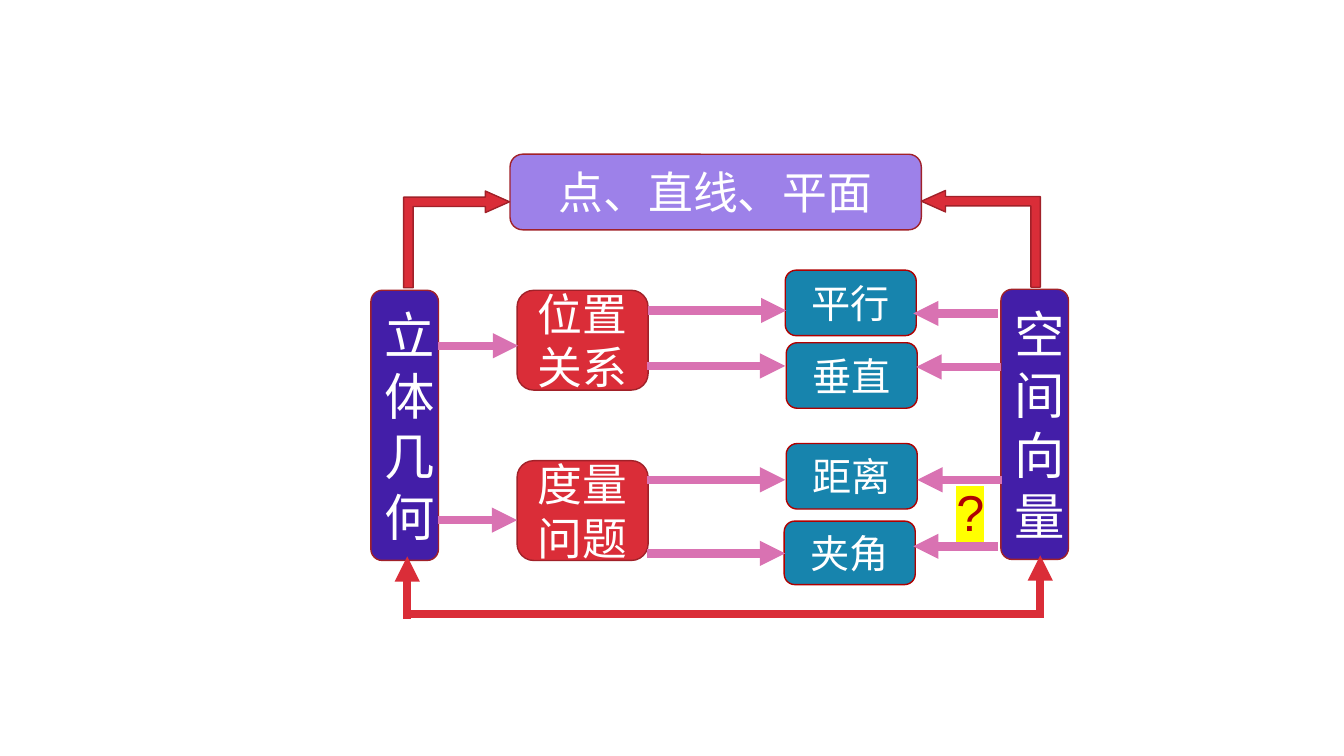
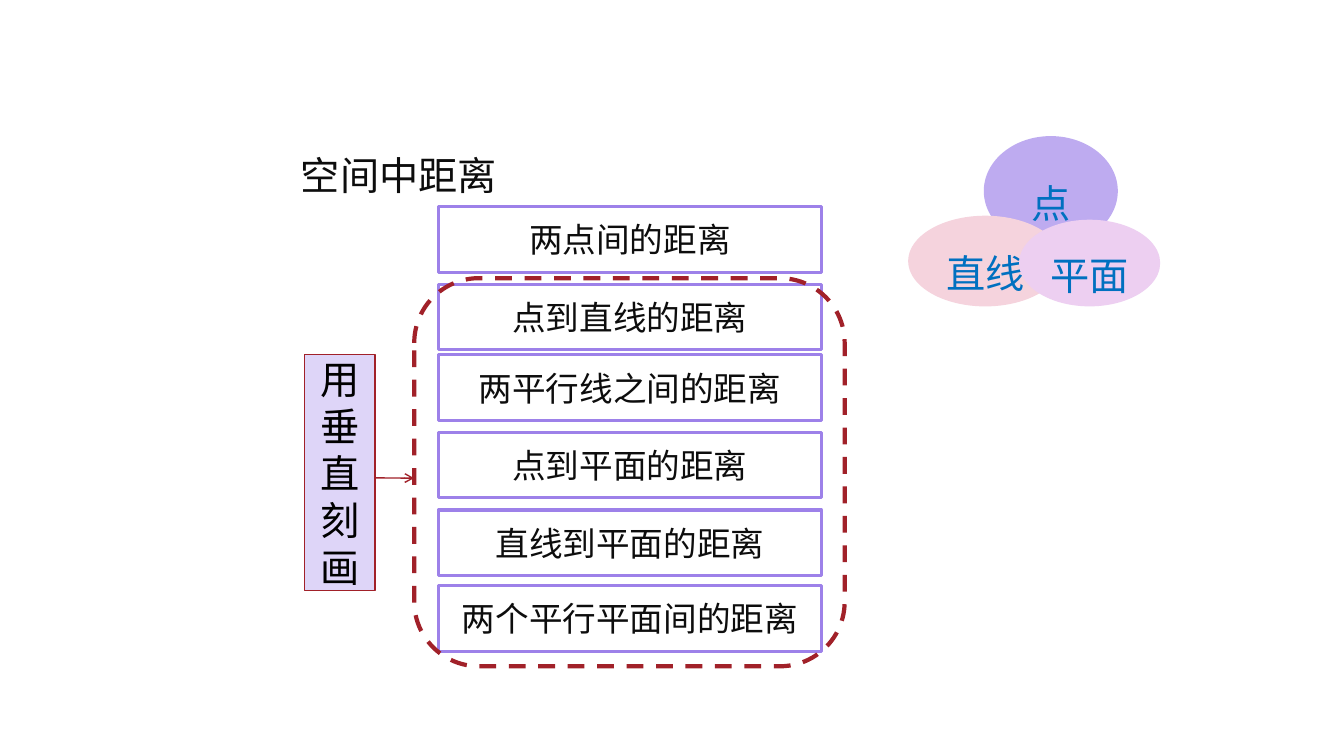
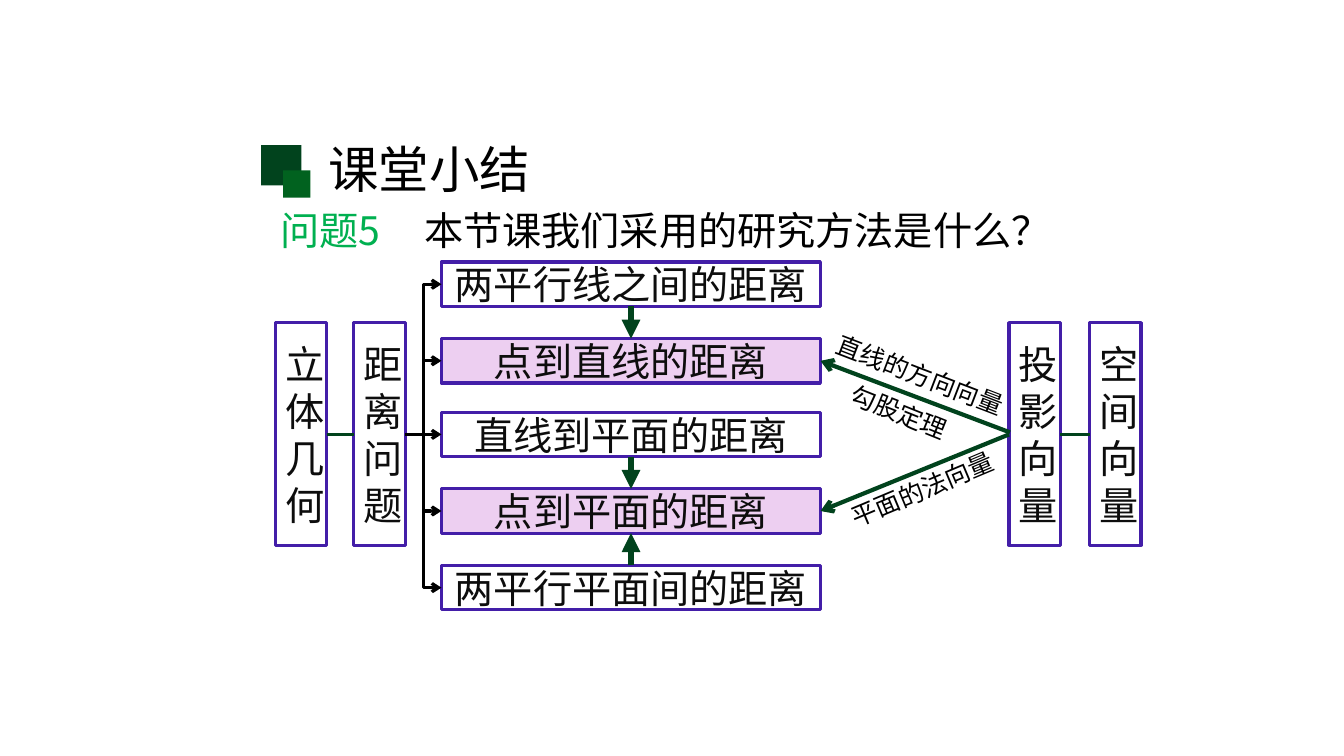
from pptx import Presentation, util as u
from pptx.dml.color import RGBColor
from pptx.enum import dml, shapes, text
from pptx.oxml import ns, xmlchemy

# Grid: square cells of a tenth of an inch, 133.33 columns by 75 rows
CELL = u.Inches(0.1)
COLUMNS, ROWS = 133.33, 75

# Shared fonts and colours
CJK_FONT = "Noto Sans CJK SC"
WHITE = RGBColor(0xFF, 0xFF, 0xFF)
BLACK = RGBColor(0x00, 0x00, 0x00)
INK = RGBColor(0x0D, 0x0D, 0x0D)
INDIGO = RGBColor(0x43, 0x1E, 0xA8)
VIOLET = RGBColor(0x9D, 0x81, 0xE9)
LILAC = RGBColor(0xBE, 0xAB, 0xF0)
PALE_VIOLET = RGBColor(0xDE, 0xD5, 0xF8)
ORCHID = RGBColor(0xED, 0xCF, 0xF1)
ROSE = RGBColor(0xF5, 0xD3, 0xDD)
PINK = RGBColor(0xD9, 0x72, 0xB2)
RED = RGBColor(0xDA, 0x2D, 0x38)
DARK_RED = RGBColor(0xA1, 0x21, 0x29)
EDGE_RED = RGBColor(0xAF, 0x00, 0x00)
MARK_RED = RGBColor(0xAE, 0x02, 0x03)
TEAL = RGBColor(0x17, 0x84, 0xAD)
BLUE = RGBColor(0x00, 0x70, 0xC0)
GREEN = RGBColor(0x00, 0xB0, 0x50)
FOREST = RGBColor(0x01, 0x43, 0x1D)
LEAF = RGBColor(0x01, 0x62, 0x1F)
YELLOW = RGBColor(0xFF, 0xFF, 0x00)

RECTANGLE = shapes.MSO_SHAPE.RECTANGLE
ROUNDED = shapes.MSO_SHAPE.ROUNDED_RECTANGLE
ELLIPSE = shapes.MSO_SHAPE.OVAL
ELBOW = shapes.MSO_CONNECTOR.ELBOW


def cells(*counts):
    """Turn grid counts into slide lengths."""
    return [round(count * CELL) for count in counts]


def element(tag, **attributes):
    node = xmlchemy.OxmlElement(tag)
    for name, value in attributes.items():
        node.set(name, value)
    return node


def write(paragraph, words, size=28, color=INK, font=CJK_FONT, highlight=None):
    """Add one formatted run to a paragraph."""
    run = paragraph.add_run()
    run.text = words
    run.font.size = u.Pt(size)
    run.font.color.rgb = color
    run.font.name = font
    properties = run.font._element
    properties.find(ns.qn("a:latin")).addnext(element("a:ea", typeface=font))
    if highlight is not None:
        mark = element("a:highlight")
        mark.append(element("a:srgbClr", val=str(highlight)))
        properties.find(ns.qn("a:solidFill")).addnext(mark)


def add_arrowhead(shape, kind):
    outline = shape.element.spPr.find(ns.qn("a:ln"))
    outline.append(element("a:tailEnd", type=kind))


def add_box(slide, place, words="", kind=ROUNDED, fill=None, line=None,
            weight=1, align=text.PP_ALIGN.CENTER, spacing=None, **style):
    """Preset shape at (left, top, width, height) with centred text."""
    shape = slide.shapes.add_shape(kind, *cells(*place))
    shape.shadow.inherit = False
    if fill is None:
        shape.fill.background()
    else:
        shape.fill.solid()
        shape.fill.fore_color.rgb = fill
    if line is None:
        shape.line.fill.background()
    else:
        shape.line.color.rgb = line
        shape.line.width = u.Pt(weight)
    if words:
        frame = shape.text_frame
        frame.word_wrap = True
        frame.vertical_anchor = text.MSO_ANCHOR.MIDDLE
        paragraph = frame.paragraphs[0]
        paragraph.alignment = align
        paragraph.line_spacing = spacing
        write(paragraph, words, **style)
    return shape


def add_label(slide, place, words="", rotation=0, **style):
    """Plain text box; returns its paragraph."""
    label = slide.shapes.add_textbox(*cells(*place))
    label.rotation = rotation
    label.text_frame.word_wrap = True
    paragraph = label.text_frame.paragraphs[0]
    if words:
        write(paragraph, words, **style)
    return paragraph


def add_line(slide, start, end, color, weight, head=None,
             kind=shapes.MSO_CONNECTOR.STRAIGHT):
    """Connector from start to end, with an optional head at the end."""
    line = slide.shapes.add_connector(kind, *cells(*start, *end))
    line.line.color.rgb = color
    line.line.width = u.Pt(weight)
    if head:
        add_arrowhead(line, head)
    line.element.spPr.append(element("a:effectLst"))


def add_bent_arrow(slide, place, **flips):
    arrow = add_box(slide, place, kind=shapes.MSO_SHAPE.BENT_UP_ARROW,
                    fill=RED, line=DARK_RED)
    for index, share in enumerate((0.097, 0.111, 0.25)):
        arrow.adjustments[index] = share
    arrow.rotation = 90
    for name, value in flips.items():
        arrow.element.spPr.xfrm.set(name, value)


def build_knowledge_map(slide):
    # Side pillars, top banner and the two problem types
    for left, top, words in ((36.8, 28.8, "立体几何"), (99.3, 28.7, "空间向量")):
        add_box(slide, (left, top, 6.7, 26.8), words, fill=INDIGO,
                line=DARK_RED, size=36, color=WHITE)
    add_box(slide, (50.6, 15.3, 40.8, 7.5), "点、直线、平面", fill=VIOLET,
            line=DARK_RED, size=32, color=WHITE)
    for top, words in ((28.8, "位置关系"), (45.7, "度量问题")):
        add_box(slide, (51.3, top, 13, 9.9), words, fill=RED,
                line=DARK_RED, size=32, color=WHITE)

    # Topics
    for left, top, height, words in ((77.9, 26.8, 6.5, "平行"),
                                     (78, 34, 6.5, "垂直"),
                                     (78, 44, 6.5, "距离"),
                                     (77.8, 51.7, 6.3, "夹角")):
        add_box(slide, (left, top, 13, height), words, fill=TEAL,
                line=EDGE_RED, color=WHITE)

    # Bracket below the pillars
    for x, tip in ((40.4, 55.2), (103.2, 55.1)):
        add_line(slide, (x, tip + 6.2), (x, tip), RED, 6, "triangle")
    add_line(slide, (40.6, 60.9), (103.2, 60.9), RED, 6)

    # Horizontal arrows: start column, tip column, row
    for start, tip, row in ((43.5, 51.4, 34.3), (43.5, 51.3, 51.6),
                            (64.3, 78, 30.8), (64.2, 77.9, 36.3),
                            (64.2, 77.9, 47.6), (64.2, 77.9, 54.9),
                            (99, 90.6, 31.1), (99.3, 90.9, 36.4),
                            (99.4, 91, 47.6), (99, 90.6, 54.2)):
        add_line(slide, (start, row), (tip, row), PINK, 6, "triangle")

    # Open question and the arrows to the banner
    add_label(slide, (93.9, 47.2, 4.9, 7.1), "?", size=36, color=MARK_RED,
              font="Arial", highlight=YELLOW)
    add_bent_arrow(slide, (40.5, 18.5, 9.6, 10.5), flipH="1")
    add_bent_arrow(slide, (92.5, 17.8, 9.6, 11.8), flipH="1", flipV="1")


def build_distance_list(slide):
    add_box(slide, (28.5, 13.5, 71.2, 7.6), "空间中距离",
            align=text.PP_ALIGN.LEFT)

    # Kinds of distance
    for top, words in ((20.5, "两点间的距离"), (28.2, "点到直线的距离"),
                       (35.2, "两平行线之间的距离"), (42.9, "点到平面的距离"),
                       (50.6, "直线到平面的距离"),
                       (58.1, "两个平行平面间的距离")):
        add_box(slide, (43.5, top, 38, 6.5), words, RECTANGLE, WHITE,
                VIOLET, 2.25, size=24)

    # Dashed frame and its callout
    frame = add_box(slide, (41.1, 27.6, 42.7, 38.5), line=DARK_RED, weight=3)
    frame.line.dash_style = dml.MSO_LINE.DASH
    callout = add_box(slide, (30.2, 35.2, 7, 23.4), "用垂直刻画",
                      shapes.MSO_SHAPE.LINE_CALLOUT_1, PALE_VIOLET, DARK_RED,
                      color=BLACK)
    for index, share in enumerate((0.522, 1.018, 0.523, 1.554)):
        callout.adjustments[index] = share
    add_arrowhead(callout, "arrow")

    # Overlapping elements of space
    for place, words, fill in (((97.6, 13.5, 13.3, 10.9), "点", LILAC),
                               ((90.1, 21.4, 15.3, 9), "直线", ROSE),
                               ((101.1, 21.8, 14, 8.6), "平面", ORCHID)):
        add_box(slide, place, words, ELLIPSE, fill, spacing=1.5, color=BLUE)


def build_summary(slide):
    # Heading and question
    add_box(slide, (25.9, 14.4, 4, 4), kind=RECTANGLE, fill=FOREST)
    add_box(slide, (28.1, 16.9, 2.7, 2.7), kind=RECTANGLE, fill=LEAF)
    add_label(slide, (31.6, 13.2, 35.3, 7.1), "课堂小结", size=36, color=BLACK)
    question = add_label(slide, (26.8, 17.6, 82.2, 7))
    question.line_spacing = 1.5
    tabs = element("a:tabLst")
    tabs.append(element("a:tab", pos=str(cells(14.3)[0]), algn="l"))
    question._p.get_or_add_pPr().append(tabs)
    write(question, "问题5\t", color=GREEN)
    write(question, "本节课我们采用的研究方法是什么？", color=BLACK)

    # Upright boxes, joined in pairs
    middle = 43.1
    for left, words in ((27.3, "立体几何"), (35.1, "距离问题"),
                        (100.1, "投影向量"), (108.1, "空间向量")):
        add_box(slide, (left, 32, 5.1, 22.1), words, RECTANGLE, WHITE,
                INDIGO, 2.25)
    for start, end in ((32.4, 35.1), (105.2, 108.1)):
        add_line(slide, (start, middle), (end, middle), FOREST, 2.25)

    # Distance problems, each reached by an elbow
    left, width, height = 43.8, 37.6, 4.4
    tops = (26, 33.6, 40.9, 48.5, 56.1)
    names = ("两平行线之间的距离", "点到直线的距离", "直线到平面的距离",
             "点到平面的距离", "两平行平面间的距离")
    for top, words in zip(tops, names):
        fill = ORCHID if words.startswith("点") else WHITE
        add_box(slide, (left, top, width, height), words, RECTANGLE, fill,
                INDIGO, 2.25)
        add_line(slide, (40.2, middle), (left, top + height / 2), BLACK, 2.25,
                 "arrow", ELBOW)

    # Reductions between neighbouring problems
    center = left + width / 2
    for start, end in ((tops[0] + height, tops[1]),
                       (tops[2] + height, tops[3]),
                       (tops[4], tops[3] + height)):
        add_line(slide, (center, start), (center, end), FOREST, 4.5, "triangle")

    # Vector methods
    add_line(slide, (100.2, 42.9), (81.4, 35.8), FOREST, 3, "arrow")
    add_line(slide, (100.1, 43.1), (81.4, 50.7), FOREST, 3, "arrow")
    for place, rotation, words in (
            ((81.5, 35.4, 20.6, 4), 21.1, "直线的方向向量"),
            ((83.2, 39, 12.7, 4), 22, "勾股定理"),
            ((82.9, 45.9, 20.2, 4), 337.2, "平面的法向量")):
        add_label(slide, place, words, rotation, size=18, color=BLACK)


def main():
    presentation = Presentation()
    presentation.slide_width, presentation.slide_height = cells(COLUMNS, ROWS)
    blank = presentation.slide_layouts[6]
    for build in (build_knowledge_map, build_distance_list, build_summary):
        build(presentation.slides.add_slide(blank))
    presentation.save("out.pptx")


if __name__ == "__main__":
    main()
